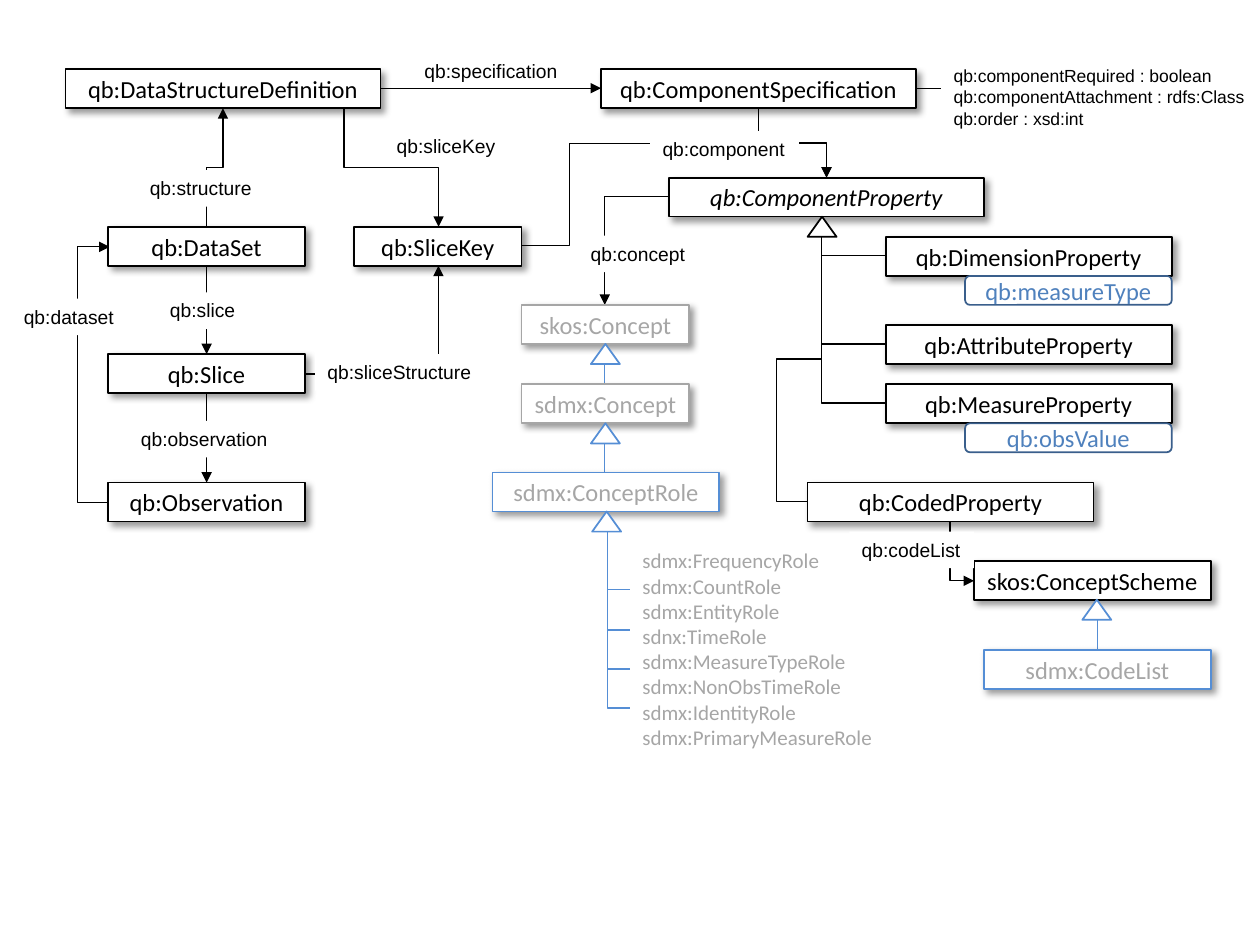
from dataclasses import dataclass
from typing import Any

from lxml import etree
from pptx import Presentation
from pptx.dml.color import RGBColor
from pptx.enum.shapes import MSO_CONNECTOR, MSO_SHAPE
from pptx.enum.text import MSO_ANCHOR, MSO_AUTO_SIZE, PP_ALIGN
from pptx.oxml.ns import qn
from pptx.util import Inches, Pt

RECTANGLE = MSO_SHAPE.RECTANGLE
ROUNDED = MSO_SHAPE.ROUNDED_RECTANGLE
TRIANGLE = MSO_SHAPE.ISOSCELES_TRIANGLE
STRAIGHT, ELBOW = MSO_CONNECTOR.STRAIGHT, MSO_CONNECTOR.ELBOW
CENTER, LEFT = PP_ALIGN.CENTER, PP_ALIGN.LEFT
MIDDLE, TOP = MSO_ANCHOR.MIDDLE, MSO_ANCHOR.TOP
FIT_SHAPE = MSO_AUTO_SIZE.SHAPE_TO_FIT_TEXT
BLACK, WHITE, GRAY = "000000", "FFFFFF", "A6A6A6"
BLUE, NAVY, STEEL = "558ED5", "3A5F8C", "4F81BD"
BOX_HEIGHT = 0.31


def color(value):
    return RGBColor.from_string(value)


def add_child(parent, tag, **attributes):
    return etree.SubElement(parent, qn(tag), attributes)


def add_shadow(shape):
    effects = shape._element.spPr.find(qn("a:effectLst"))
    shadow = add_child(effects, "a:outerShdw", blurRad=str(Pt(4)), dist=str(Pt(3)),
                       dir="2700000", algn="tl", rotWithShape="0")
    add_child(add_child(shadow, "a:srgbClr", val=BLACK), "a:alpha", val="40000")


def write(shape, text, size, font, ink, align=LEFT, anchor=TOP, italic=None):
    frame = shape.text_frame
    frame.text = text
    frame.vertical_anchor = anchor
    for paragraph in frame.paragraphs:
        paragraph.alignment = align
        for run in paragraph.runs:
            run.font.size, run.font.name = Pt(size), font
            run.font.color.rgb, run.font.italic = color(ink), italic


def bend(connector, points):
    (x1, y1), (x2, y2) = points[0], points[-1]
    dx, dy = x2 - x1, y2 - y1
    horizontal = points[0][1] == points[1][1]
    width, height = (abs(dx), abs(dy)) if horizontal else (abs(dy), abs(dx))
    connector.left = Inches((x1 + x2 - width) / 2)
    connector.top = Inches((y1 + y2 - height) / 2)
    connector.width, connector.height = Inches(width), Inches(height)
    if horizontal:
        rotation, flip_h, flip_v = 0, dx < 0, dy < 0
    elif dy > 0:
        rotation, flip_h, flip_v = 270, True, dx < 0
    else:
        rotation, flip_h, flip_v = 90, True, dx > 0
    properties = connector._element.spPr
    frame = properties.find(qn("a:xfrm"))
    frame.set("rot", str(rotation * 60000))
    frame.set("flipH", str(int(flip_h)))
    frame.set("flipV", str(int(flip_v)))
    geometry = properties.find(qn("a:prstGeom"))
    geometry.set("prst", f"bentConnector{len(points) - 1}")
    guides = geometry.find(qn("a:avLst"))
    for index, (x, y) in enumerate(points[1:-2], 1):
        along_x = horizontal == (index % 2 == 1)
        ratio = (x - x1) / dx if along_x else (y - y1) / dy
        add_child(guides, "a:gd", name=f"adj{index}", fmla=f"val {round(ratio * 100000)}")


@dataclass
class Region:
    slide: Any
    left: float
    top: float

    def shape(self, kind, left, top, width, height, line=None, weight=1):
        shape = self.slide.shapes.add_shape(
            kind, Inches(self.left + left), Inches(self.top + top), Inches(width), Inches(height))
        shape.shadow.inherit = False
        shape.fill.solid()
        shape.fill.fore_color.rgb = color(WHITE)
        if line:
            shape.line.color.rgb, shape.line.width = color(line), Pt(weight)
        else:
            shape.line.fill.background()
        return shape

    def box(self, text, left, top, width, line=BLACK, ink=BLACK, italic=None):
        shape = self.shape(RECTANGLE, left, top, width, BOX_HEIGHT, line)
        add_shadow(shape)
        write(shape, text, 14, "Calibri", ink, CENTER, MIDDLE, italic)

    def badge(self, text, left, top):
        shape = self.shape(ROUNDED, left, top, 1.64, 0.23, NAVY)
        write(shape, text, 14, "Calibri", STEEL, CENTER, MIDDLE)

    def triangle(self, left, top, line=BLUE):
        self.shape(TRIANGLE, left, top, 0.23, 0.16, line)

    def label(self, text, left, top, width, height=0.29, size=11):
        shape = self.shape(RECTANGLE, left, top, width, height)
        shape.text_frame.word_wrap = False
        shape.text_frame.auto_size = FIT_SHAPE
        write(shape, text, size, "Arial", BLACK)

    def line(self, *points, ink=BLACK, arrow=False):
        points = [(self.left + x, self.top + y) for x, y in points]
        ends = [Inches(value) for point in (points[0], points[-1]) for value in point]
        kind = STRAIGHT if len(points) == 2 else ELBOW
        connector = self.slide.shapes.add_connector(kind, *ends)
        connector.line.color.rgb, connector.line.width = color(ink), Pt(0.75)
        if kind == ELBOW:
            bend(connector, points)
        if arrow:
            add_child(connector.line._get_or_add_ln(), "a:tailEnd", type="triangle")
        add_child(connector._element.spPr, "a:effectLst")


def draw_specification(region):
    region.label("qb:specification", -0.73, 0.42, 1.27)
    region.line((-0.98, 0.7), (0.77, 0.7), arrow=True)
    region.line((3.27, 0.7), (4.36, 0.7), (4.36, 0.86), (5.45, 0.86), arrow=True)
    region.line((2.02, 0.86), (2.02, 1.13), (2.56, 1.13), (2.56, 1.41), arrow=True)
    region.line((0.14, 1.95), (0.52, 1.95), (0.52, 1.14), (2.56, 1.14), (2.56, 1.41), arrow=True)
    region.box("qb:ComponentSpecification", 0.77, 0.55, 2.5)
    region.box("qb:ComponentProperty", 1.31, 1.41, 2.5, italic=True)
    region.label("qb:componentRequired : boolean\vqb:componentAttachment : rdfs:Class\v"
                 "qb:order : xsd:int", 3.47, 0.47, 2.53, 0.61, 10)
    region.label("qb:component", 1.16, 1.04, 1.18)


def draw_dataset(region):
    region.line((1.64, 2.11), (1.64, 2.81), arrow=True)
    region.line((1.64, 3.13), (1.64, 3.83), arrow=True)
    region.line((0.86, 3.99), (0.61, 3.99), (0.61, 1.96), (0.87, 1.96), arrow=True)
    region.line((1.64, 1.8), (1.64, 1.33), (1.77, 1.33), (1.77, 0.86), arrow=True)
    region.line((2.42, 2.97), (3.48, 2.97), (3.48, 2.11), arrow=True)
    region.line((2.73, 0.86), (2.73, 1.33), (3.48, 1.33), (3.48, 1.8), arrow=True)
    region.box("qb:DataStructureDefinition", 0.52, 0.55, 2.5)
    region.box("qb:SliceKey", 2.81, 1.8, 1.33)
    for text, top in (("qb:DataSet", 1.8), ("qb:Slice", 2.81), ("qb:Observation", 3.83)):
        region.box(text, 0.86, top, 1.56)
    for text, left, top, width in (
            ("qb:structure", 1.09, 1.35, 1.01), ("qb:slice", 1.25, 2.32, 0.73),
            ("qb:observation", 1.02, 3.34, 1.21), ("qb:dataset", 0.09, 2.37, 0.92),
            ("qb:sliceStructure", 2.5, 2.81, 1.35), ("qb:sliceKey", 3.05, 1.02, 0.99)):
        region.label(text, left, top, width)


def draw_properties(region):
    for y in (1.03, 1.73, 2.2):
        region.line((1.03, y), (0.52, y), (0.52, 0.87))
    region.line((0.41, 2.98), (0.16, 2.98), (0.16, 1.85), (0.52, 1.85), (0.52, 0.87))
    region.triangle(0.41, 0.72, BLACK)
    for text, top in (("qb:DimensionProperty", 0.88), ("qb:AttributeProperty", 1.58),
                      ("qb:MeasureProperty", 2.05)):
        region.box(text, 1.03, top, 2.27)
    region.badge("qb:measureType", 1.66, 1.19)
    region.badge("qb:obsValue", 1.66, 2.36)


def draw_code_lists(region):
    region.line((1.54, 0.64), (1.54, 1.11), (1.73, 1.11), arrow=True)
    region.line((2.71, 1.66), (2.71, 1.42), ink=BLUE)
    region.box("qb:CodedProperty", 0.41, 0.33, 2.27)
    region.box("skos:ConceptScheme", 1.73, 0.95, 1.88)
    region.box("sdmx:CodeList", 1.81, 1.66, 1.8, BLUE, GRAY)
    region.triangle(2.59, 1.26)
    region.label("qb:codeList", 0.74, 0.72, 0.99)


def draw_concepts(region):
    region.line((1.31, -0.44), (0.8, -0.44), (0.8, 0.42), arrow=True)
    for start, end in ((1.05, 0.89), (1.75, 1.52)):
        region.line((0.8, start), (0.8, end), ink=BLUE)
    for y in (2.68, 3, 3.31, 3.62):
        region.line((1, y), (0.82, y), (0.82, 2.22), ink=BLUE)
    region.box("skos:Concept", 0.14, 0.42, 1.33, GRAY, GRAY)
    region.box("sdmx:Concept", 0.14, 1.05, 1.33, GRAY, GRAY)
    region.box("sdmx:ConceptRole", -0.09, 1.75, 1.8, BLUE, GRAY)
    for left, top in ((0.69, 0.73), (0.69, 1.36), (0.7, 2.06)):
        region.triangle(left, top)
    region.label("qb:concept", 0.59, -0.13, 0.96)
    roles = region.slide.shapes.add_textbox(
        Inches(region.left + 1), Inches(region.top + 2.3), Inches(2.04), Inches(1.72))
    roles.text_frame.word_wrap = False
    roles.text_frame.auto_size = FIT_SHAPE
    write(roles, "sdmx:FrequencyRole\vsdmx:CountRole\vsdmx:EntityRole\vsdnx:TimeRole\n"
          "sdmx:MeasureTypeRole\nsdmx:NonObsTimeRole\nsdmx:IdentityRole\n"
          "sdmx:PrimaryMeasureRole", 12, "Calibri", GRAY)


presentation = Presentation()
presentation.slide_width, presentation.slide_height = Inches(10), Inches(7.5)
slide = presentation.slides.add_slide(presentation.slide_layouts[6])
draw_specification(Region(slide, 4, 0))
draw_dataset(Region(slide, 0, 0))
draw_properties(Region(slide, 6, 1))
draw_code_lists(Region(slide, 6, 3.5))
draw_concepts(Region(slide, 4, 2))
presentation.save("out.pptx")
